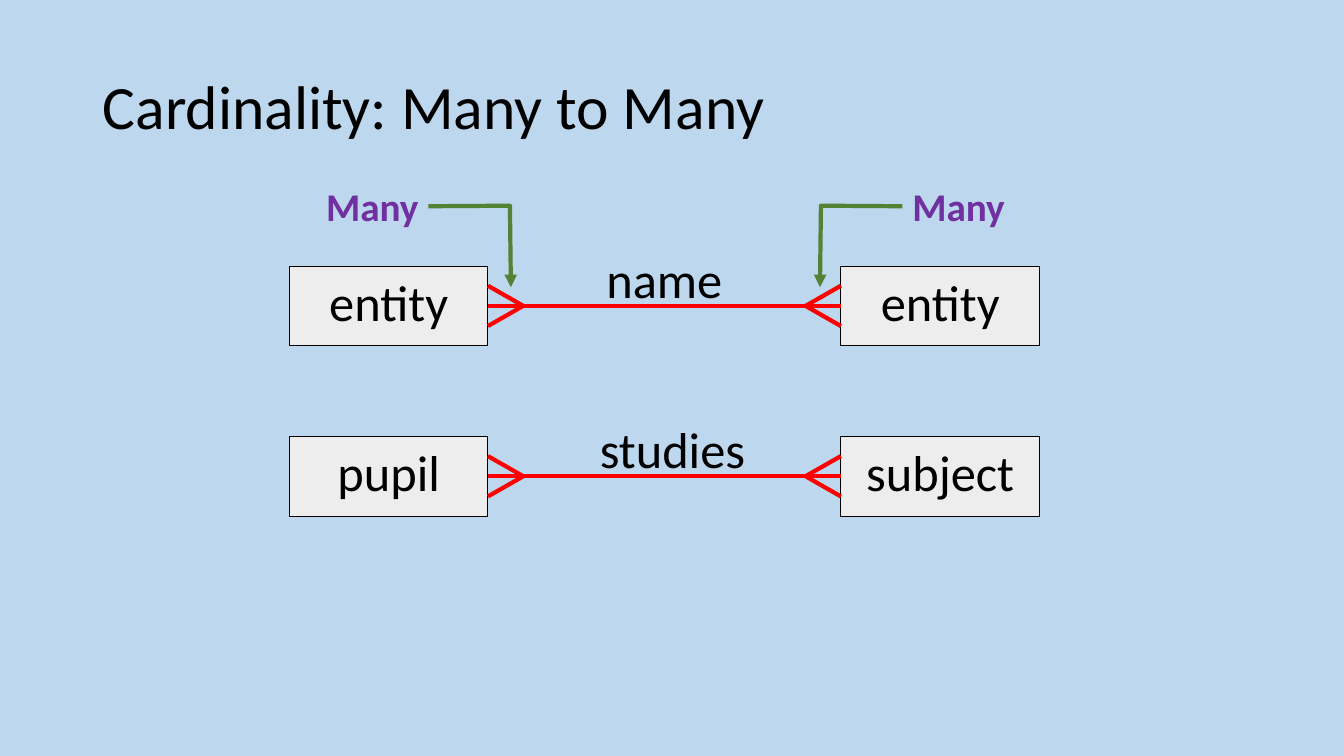
from lxml import etree
from pptx import Presentation
from pptx.dml.color import RGBColor
from pptx.enum.shapes import MSO_CONNECTOR, MSO_SHAPE
from pptx.enum.text import MSO_ANCHOR, PP_ALIGN
from pptx.oxml.ns import qn
from pptx.util import Inches, Pt

STRAIGHT = MSO_CONNECTOR.STRAIGHT
RECTANGLE = MSO_SHAPE.RECTANGLE
CALLOUT = MSO_SHAPE.LINE_CALLOUT_2_NO_BORDER
TOP, MIDDLE = MSO_ANCHOR.TOP, MSO_ANCHOR.MIDDLE
LEFT, CENTER, RIGHT = PP_ALIGN.LEFT, PP_ALIGN.CENTER, PP_ALIGN.RIGHT

COLORS = {
    "background": "BDD7EE",
    "text": "000000",
    "box": "EDEDED",
    "relation": "FF0000",
    "many": "7030A0",
    "arrow": "548235",
}
BOX_WIDTH, BOX_HEIGHT = 1.97, 0.79
LEFT_BOX, RIGHT_BOX = 2.87, 8.34
FIRST_ROW, ROW_STEP = 2.64, 1.69
FOOT_LENGTH, FOOT_SPREAD = 0.35, 0.2
LABEL_RISE, LABEL_HEIGHT = 0.23, 0.71
CALLOUT_POINTS = (0.503, 0.001, 0.493, -0.685, 2.019, -0.693)


def color(name):
    return RGBColor.from_string(COLORS[name])


def write(shape, text, size, alignment, anchor, color_name="text", bold=False, wrap=False):
    """Put one formatted paragraph into the shape."""
    frame = shape.text_frame
    frame.text = text
    frame.word_wrap = wrap
    frame.vertical_anchor = anchor
    paragraph = frame.paragraphs[0]
    paragraph.alignment = alignment
    font = paragraph.runs[0].font
    font.name, font.size, font.bold = "Calibri", Pt(size), bold
    font.color.rgb = color(color_name)


presentation = Presentation()
presentation.slide_width = Inches(13.33)
presentation.slide_height = Inches(7.5)
slide = presentation.slides.add_slide(presentation.slide_layouts[5])
slide.background.fill.solid()
slide.background.fill.fore_color.rgb = color("background")
shapes = slide.shapes

title = shapes.title
title.left, title.top = Inches(0.92), Inches(0.36)
title.width, title.height = Inches(11.5), Inches(1.45)
write(title, "Cardinality: Many to Many", 44, LEFT, MIDDLE, wrap=True)
title.text_frame.paragraphs[0].line_spacing = 0.9

# Labels whose bent arrows point at the crow's feet
for left, flipped, alignment in ((8.95, False, LEFT), (3.07, True, RIGHT)):
    callout = shapes.add_shape(CALLOUT, Inches(left), Inches(1.78), Inches(1.18), Inches(0.53))
    callout.shadow.inherit = False
    callout.fill.background()
    callout.line.color.rgb = color("arrow")
    callout.line.width = Pt(3)
    for index, value in enumerate(CALLOUT_POINTS):
        callout.adjustments[index] = value
    properties = callout._element.spPr
    etree.SubElement(properties.find(qn("a:ln")), qn("a:tailEnd"), type="triangle")
    if flipped:
        properties.find(qn("a:xfrm")).set("flipH", "1")
    write(callout, "Many", 28, alignment, MIDDLE, "many", bold=True, wrap=True)

# Each row: left entity, relationship, right entity, label left and width
rows = (
    ("entity", "name", "entity", 5.91, 1.36),
    ("pupil", "studies", "subject", 5.84, 1.66),
)
for row, (first, relation, second, label_left, label_width) in enumerate(rows):
    top = FIRST_ROW + row * ROW_STEP
    middle = top + BOX_HEIGHT / 2

    boxes = []
    for left, entity in ((LEFT_BOX, first), (RIGHT_BOX, second)):
        box = shapes.add_shape(
            RECTANGLE, Inches(left), Inches(top), Inches(BOX_WIDTH), Inches(BOX_HEIGHT))
        box.shadow.inherit = False
        box.fill.solid()
        box.fill.fore_color.rgb = color("box")
        box.line.color.rgb = color("text")
        box.line.width = Pt(0.75)
        write(box, entity, 36, CENTER, TOP)
        boxes.append(box)

    start, end = LEFT_BOX + BOX_WIDTH, RIGHT_BOX
    segments = [(start, middle, end, middle)]
    for edge, tip in ((end, end - FOOT_LENGTH), (start, start + FOOT_LENGTH)):
        for spread in (-FOOT_SPREAD, FOOT_SPREAD):
            segments.append((tip, middle, edge, middle + spread))

    lines = []
    for segment in segments:
        line = shapes.add_connector(STRAIGHT, *(Inches(value) for value in segment))
        line.line.color.rgb = color("relation")
        line.line.width = Pt(3)
        etree.SubElement(line._element.spPr, qn("a:effectLst"))
        lines.append(line)
    lines[0].begin_connect(boxes[0], 3)
    lines[0].end_connect(boxes[1], 1)

    label = shapes.add_textbox(
        Inches(label_left), Inches(top - LABEL_RISE), Inches(label_width), Inches(LABEL_HEIGHT))
    write(label, relation, 36, CENTER, TOP)

presentation.save("out.pptx")
